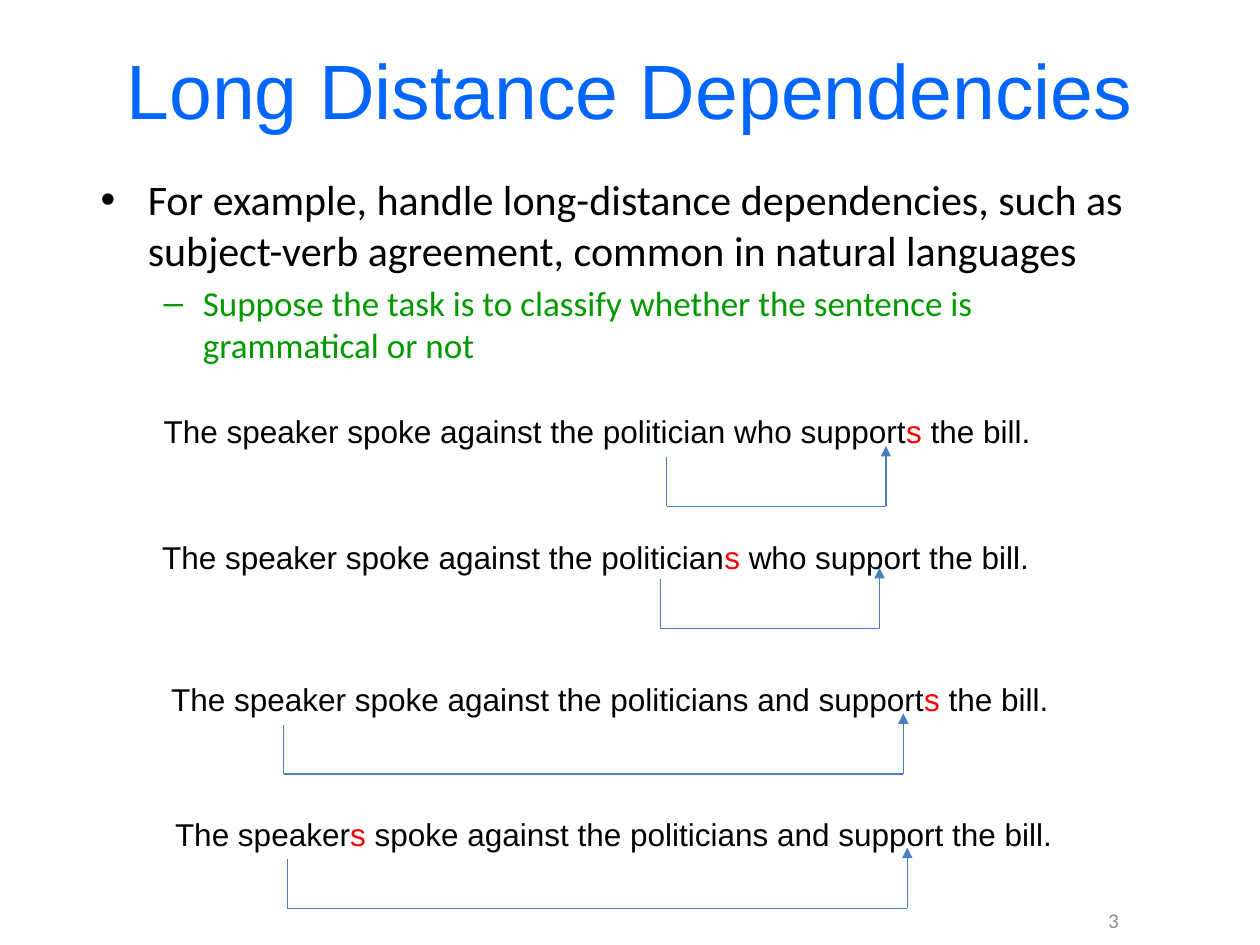
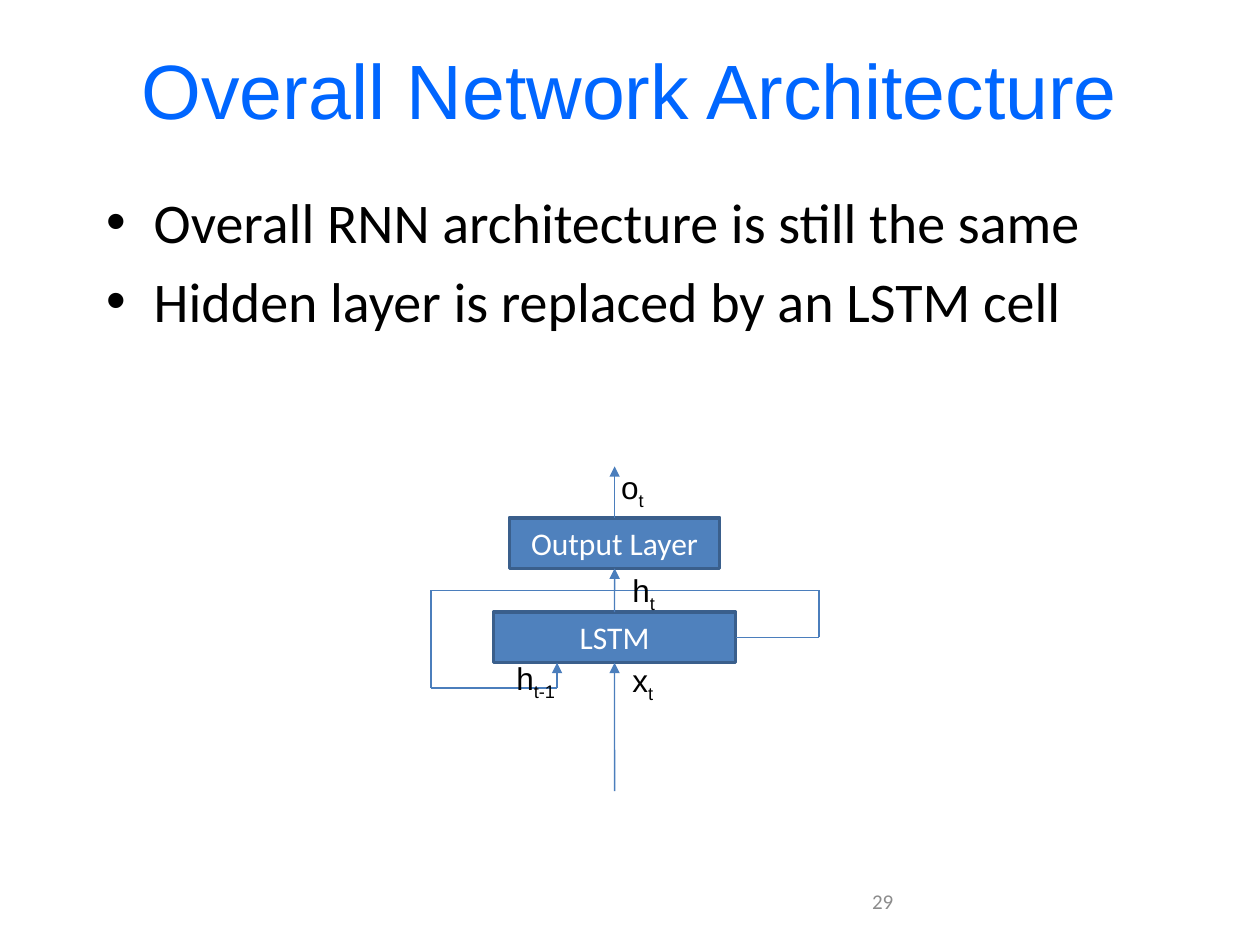
from itertools import pairwise

from lxml import etree
from pptx import Presentation
from pptx import util as u
from pptx.dml.color import RGBColor
from pptx.enum import shapes, text
from pptx.oxml.ns import qn

COLOURS = {
    "title": "0066FF",
    "ink": "000000",
    "task": "009900",
    "ending": "FF0000",
    "number": "8C8C8C",
    "wire": "4B7EBC",
    "box": "4F81BD",
    "edge": "3A5F8C",
    "box_text": "FFFFFF",
}
TITLE = {"name": "Arial", "size": u.Pt(44), "colour": "title"}
LABEL = {"name": "Arial", "size": u.Pt(18), "colour": "ink"}
BOX = {"name": "Calibri", "size": u.Pt(18), "colour": "box_text"}
NUMBER = {"name": "Calibri", "size": u.Pt(12), "colour": "number"}
CENTRED = {"alignment": text.PP_ALIGN.CENTER}
MIDDLE = {"word_wrap": True, "vertical_anchor": text.MSO_ANCHOR.MIDDLE}
WRAPPED = {"word_wrap": True}
FITTED = {"word_wrap": False, "auto_size": text.MSO_AUTO_SIZE.SHAPE_TO_FIT_TEXT}


def rgb(name):
    """Return the named colour."""
    return RGBColor.from_string(COLOURS[name])


def apply(target, values):
    """Set each attribute of the target from a dict."""
    for key, value in values.items():
        setattr(target, key, value)


def add_run(p, words, fmt):
    """Add a run; its format may hold a colour name and a baseline."""
    r = p.add_run()
    r.text = words
    fmt = dict(fmt)
    r.font.color.rgb = rgb(fmt.pop("colour"))
    baseline = fmt.pop("baseline", None)
    apply(r.font, fmt)
    if baseline:
        r._r.get_or_add_rPr().set("baseline", str(baseline))


def add_box(s, at, frame):
    """Add a text box at left, top, width, height in cm and return its frame."""
    tf = s.shapes.add_textbox(*map(u.Cm, at)).text_frame
    apply(tf, frame)
    return tf


def add_centred(tf, words, fmt):
    """Write one centred line into a frame."""
    p = tf.paragraphs[0]
    apply(p, CENTRED)
    add_run(p, words, fmt)


def add_label(s, at, runs):
    """Add an unwrapped line made of (words, overrides) runs."""
    p = add_box(s, at, FITTED).paragraphs[0]
    for words, overrides in runs:
        add_run(p, words, LABEL | overrides)


def add_bullets(s, at, items):
    """Add bullets given as (words, mark, size, margin, hang, colour)."""
    tf = add_box(s, at, WRAPPED)
    for i, (words, mark, size, margin, hang, colour) in enumerate(items):
        p = tf.add_paragraph() if i else tf.paragraphs[0]
        p.space_before = u.Pt(size * 0.2)
        pPr = p._p.get_or_add_pPr()
        pPr.set("marL", str(u.Cm(margin)))
        pPr.set("indent", str(-u.Cm(hang)))
        etree.SubElement(pPr, qn("a:buFont"), typeface="Arial")
        etree.SubElement(pPr, qn("a:buChar"), char=mark)
        add_run(p, words, {"name": "Calibri", "size": u.Pt(size), "colour": colour})


def add_line(s, start, end, arrow=False):
    """Add a thin straight connector, optionally with an arrowhead."""
    c = s.shapes.add_connector(shapes.MSO_CONNECTOR.STRAIGHT, *map(u.Cm, start + end))
    c.line.color.rgb = rgb("wire")
    c.line.width = u.Pt(0.75)
    if arrow:
        etree.SubElement(c.line._get_or_add_ln(), qn("a:tailEnd"), type="triangle")
    etree.SubElement(c._element.spPr, qn("a:effectLst"))
    return c


def add_route(s, points, begin=None, end=None):
    """Join points by connectors ending in an arrow, glued to (shape, side)."""
    legs = list(pairwise(points))
    lines = [add_line(s, a, b, i == len(legs)) for i, (a, b) in enumerate(legs, 1)]
    if begin:
        lines[0].begin_connect(*begin)
    if end:
        lines[-1].end_connect(*end)


def add_layer(s, at, words):
    """Add a network layer rectangle."""
    sp = s.shapes.add_shape(shapes.MSO_SHAPE.RECTANGLE, *map(u.Cm, at))
    sp.shadow.inherit = False
    sp.fill.solid()
    sp.fill.fore_color.rgb = rgb("box")
    sp.line.color.rgb = rgb("edge")
    sp.line.width = u.Pt(2)
    apply(sp.text_frame, MIDDLE)
    add_centred(sp.text_frame, words, BOX)
    return sp


def add_sentence(s, at, parts, subject, verb, top):
    """Add a sentence with a red ending and an arrow from subject to verb."""
    before, after = parts
    add_label(s, at, [(before, {}), ("s", {"colour": "ending"}), (after, {})])
    base = top + 0.99
    add_route(s, [(subject, top), (subject, base), (verb, base), (verb, top - 0.23)])


def add_slide(prs, title, number, number_at):
    """Add a blank slide with its title and number."""
    s = prs.slides.add_slide(prs.slide_layouts[6])
    add_centred(add_box(s, (1.27, 0.2, 22.86, 3.18), MIDDLE), title, TITLE)
    add_centred(add_box(s, (*number_at, 8.05, 1.02), MIDDLE), number, NUMBER)
    return s


def add_dependencies(prs):
    """Build the slide on long distance dependencies."""
    s = add_slide(prs, "Long Distance Dependencies", "3", (18.42, 18.03))
    add_bullets(s, (1.78, 3.38, 21.59, 3.66), [
        ("For example, handle long-distance dependencies, such as subject-verb "
         "agreement, common in natural languages", "•", 24, 0.95, 0.95, "ink"),
        ("Suppose the task is to classify whether the sentence is grammatical or not",
         "–", 20, 2.06, 0.79, "task"),
    ])
    sentences = [
        ((3.05, 8.18, 18.64, 1.02),
         ("The speaker spoke against the politician who support", " the bill."),
         13.44, 17.86, 9.22),
        ((3.02, 10.72, 18.64, 1.02),
         ("The speaker spoke against the politician", " who support the bill."),
         13.31, 17.73, 11.68),
        ((3.2, 13.59, 18.54, 1.02),
         ("The speaker spoke against the politicians and support", " the bill."),
         5.72, 18.21, 14.61),
        ((3.28, 16.31, 18.85, 1.02),
         ("The speaker", " spoke against the politicians and support the bill."),
         5.79, 18.29, 17.32),
    ]
    for sentence in sentences:
        add_sentence(s, *sentence)


def add_architecture(prs):
    """Build the slide on the network architecture."""
    s = add_slide(prs, "Overall Network Architecture", "29", (13.77, 17.65))
    add_bullets(s, (1.9, 3.66, 21.59, 4.7), [
        (words, "•", 32, 0.95, 0.95, "ink")
        for words in ("Overall RNN architecture is still the same",
                      "Hidden layer is replaced by an LSTM cell")
    ])
    lstm = add_layer(s, (9.95, 12.34, 4.88, 1.02), "LSTM")
    output = add_layer(s, (10.27, 10.44, 4.24, 1.02), "Output Layer")
    axis = 12.39
    add_route(s, [(axis, 10.44), (axis, 9.4)], begin=(output, 0))
    add_route(s, [(axis, 15.95), (axis, 13.36)], end=(lstm, 2))
    add_route(s, [(axis, 12.34), (axis, 11.46)], begin=(lstm, 0), end=(output, 2))
    add_route(s, [(14.83, 12.85), (16.51, 12.85), (16.51, 11.9), (8.69, 11.9),
                  (8.69, 13.87), (11.23, 13.87), (11.23, 13.36)], begin=(lstm, 3))
    for symbol, index, left, top, width in [
        ("h", "t", 12.5, 11.38, 0.99),
        ("o", "t", 12.27, 9.32, 0.99),
        ("x", "t", 12.5, 13.21, 0.97),
        ("h", "t-1", 10.16, 13.16, 1.37),
    ]:
        add_label(s, (left, top, width, 1.02),
                  [(symbol, {}), (index, {"baseline": -25000})])


def main():
    """Build and save the presentation."""
    prs = Presentation()
    apply(prs, {"slide_width": u.Cm(25.4), "slide_height": u.Cm(19.05)})
    add_dependencies(prs)
    add_architecture(prs)
    prs.save("out.pptx")


if __name__ == "__main__":
    main()
